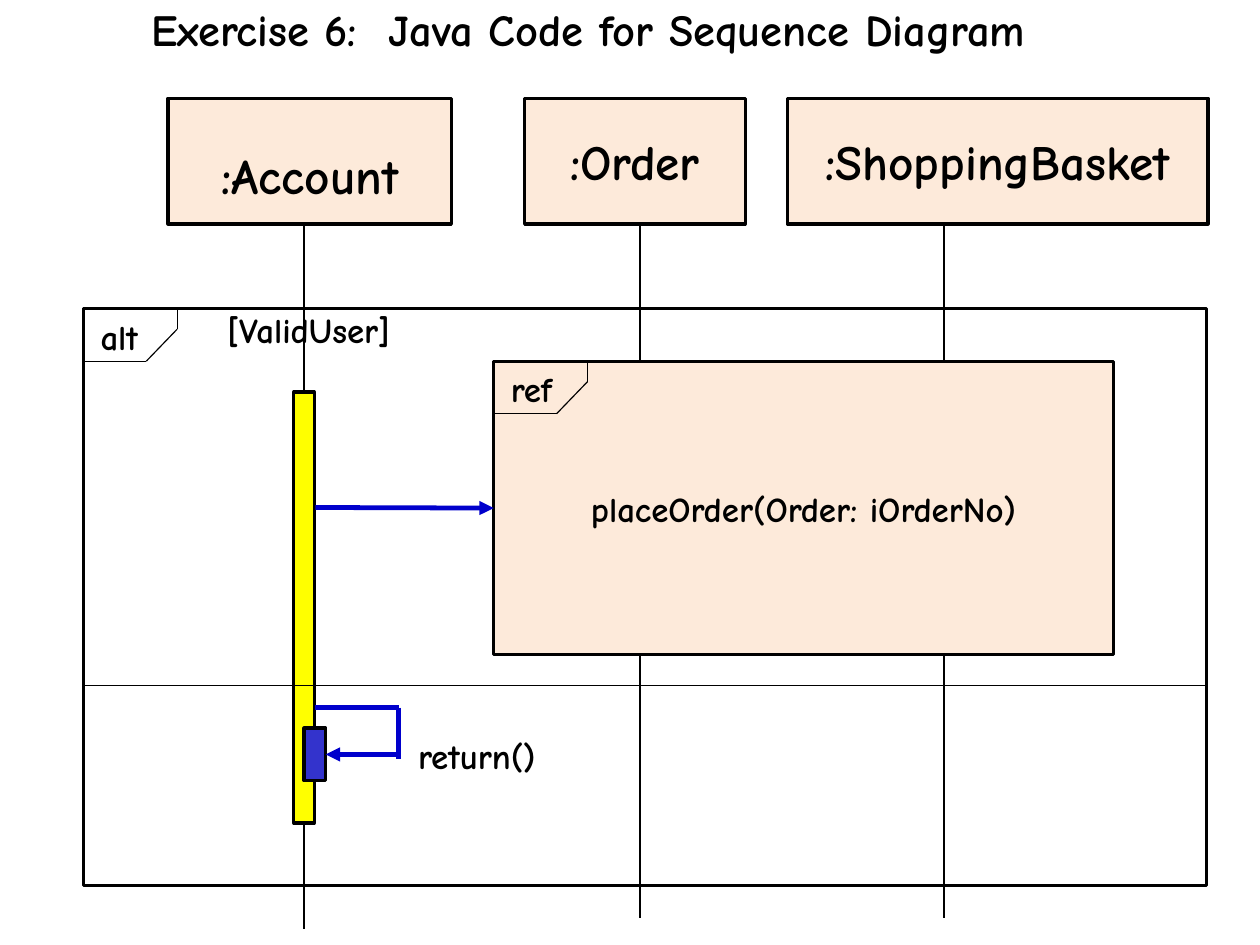
from dataclasses import dataclass
from pptx import Presentation
from pptx.dml.color import RGBColor
from pptx.enum.shapes import MSO_CONNECTOR, MSO_SHAPE
from pptx.enum.text import MSO_ANCHOR, PP_ALIGN
from pptx.oxml.ns import qn
from pptx.util import Emu, Pt
from lxml.etree import SubElement

PX = 9144  # EMU per px, 100 px to the inch
PAGE = Emu(10080625), Emu(7559675)  # 28 by 21 cm


@dataclass(frozen=True)
class Theme:
    font: str = "Comic Neue"
    ink: str = "000000"
    paper: str = "FFFFFF"
    peach: str = "FDEADA"
    yellow: str = "FFFF00"
    blue: str = "3333CC"
    arrow: str = "0000CC"
    title: int = 28
    head: int = 31
    label: int = 22
    thin: float = 0.75
    edge: float = 2
    thick: float = 3


THEME = Theme()


def px(*values):
    return [Emu(value * PX) for value in values]


def write(shape, text, size, align=PP_ALIGN.CENTER, wrap=True, inset=(11, 6, 11, 6)):
    frame = shape.text_frame
    left, top, right, bottom = px(*inset)
    layout = {"word_wrap": wrap, "vertical_anchor": MSO_ANCHOR.MIDDLE,
              "margin_left": left, "margin_top": top,
              "margin_right": right, "margin_bottom": bottom}
    for key, value in layout.items():
        setattr(frame, key, value)
    para = frame.paragraphs[0]
    para.alignment = align
    run = para.add_run()
    run.text = text
    style = {"name": THEME.font, "size": Pt(size), "bold": True}
    for key, value in style.items():
        setattr(run.font, key, value)
    run.font.color.rgb = RGBColor.from_string(THEME.ink)


def block(slide, box, fill):
    shape = slide.shapes.add_shape(MSO_SHAPE.RECTANGLE, *px(*box))
    shape.shadow.inherit = False
    shape.fill.solid()
    shape.fill.fore_color.rgb = RGBColor.from_string(fill)
    shape.line.color.rgb = RGBColor.from_string(THEME.ink)
    shape.line.width = Pt(THEME.edge)
    return shape


def label(slide, box, text):
    write(slide.shapes.add_textbox(*px(*box)), text, THEME.label, PP_ALIGN.LEFT, False)


def line(slide, start, end, color=THEME.ink, width=THEME.thin, arrow=False):
    link = slide.shapes.add_connector(MSO_CONNECTOR.STRAIGHT, *px(*start, *end))
    link.line.color.rgb = RGBColor.from_string(color)
    link.line.width = Pt(width)
    if arrow:
        SubElement(link.line._get_or_add_ln(), qn("a:tailEnd"), type="triangle")
    SubElement(link._element.spPr, qn("a:effectLst"))
    return link


def call(slide, start, end, arrow=False):
    return line(slide, start, end, THEME.arrow, THEME.thick, arrow)


def tag(slide, box, text, width):
    """Draw the cut-corner operator label in the top left of a frame."""
    x, y = box[:2]
    points = [(x, y + 46), (x + 55, y + 46), (x + 82, y + 18), (x + 82, y)]
    for start, end in zip(points, points[1:]):
        line(slide, start, end)
    label(slide, (x + 4, y, width, 48), text)


def heading(slide, box):
    title = slide.shapes.add_textbox(*px(*box))
    write(title, "Exercise 6:  Java Code for Sequence Diagram", THEME.title,
          inset=(0, 0, 0, 0))


def heads(slide, top):
    objects = [(":Account", 147, 248, 30), (":Order", 459, 193, 6),
               (":ShoppingBasket", 689, 368, 6)]
    for name, left, width, inset in objects:
        head = block(slide, (left, top, width, 110), THEME.peach)
        write(head, name, THEME.head, inset=(11, inset, 11, 6))


def lifelines(slide, top, box):
    """Run the Order and ShoppingBasket lines above and below the ref box."""
    _, y, _, height = box
    for x in (560, 826):
        line(slide, (x, top), (x, y))
        line(slide, (x, y + height), (x, 803))


def account(slide, top, box):
    """Draw the account's activation bar and its lifeline."""
    x, y, width, height = box
    mid = x + width // 2
    bar = block(slide, box, THEME.yellow)
    line(slide, (mid, top), (mid, y)).end_connect(bar, 0)
    line(slide, (mid, y + height), (mid, 813)).begin_connect(bar, 2)


def answer(slide, box):
    """Draw the self call that loops back into the nested bar."""
    x, y, width, height = box
    turn, start, mid = x + 83, y - 18, y + height // 2
    nested = block(slide, box, THEME.blue)
    call(slide, (x + 10, start), (turn, start))
    call(slide, (turn, start), (turn, mid + 4))
    call(slide, (turn, mid), (x + width, mid), True).end_connect(nested, 3)
    label(slide, (turn + 6, y, 126, 48), "return()")


def sequence(slide):
    frame, ref = (73, 270, 983, 505), (432, 316, 542, 257)
    bar = (257, 343, 18, 377)
    block(slide, frame, THEME.paper)
    target = block(slide, ref, THEME.peach)
    write(target, "placeOrder(Order: iOrderNo)", THEME.label)
    heads(slide, 86)
    lifelines(slide, 196, ref)
    account(slide, 196, bar)
    tag(slide, frame, "alt", 55)
    tag(slide, ref, "ref", 59)
    label(slide, (188, 264, 166, 48), "[ValidUser]")
    line(slide, (73, 600), (1056, 600))
    answer(slide, (266, 637, 19, 46))
    call(slide, (276, 444), (432, 444), True).end_connect(target, 1)


def main():
    deck = Presentation()
    deck.slide_width, deck.slide_height = PAGE
    slide = deck.slides.add_slide(deck.slide_layouts[6])
    sequence(slide)
    heading(slide, (23, 0, 983, 50))
    deck.save("out.pptx")


if __name__ == "__main__":
    main()
